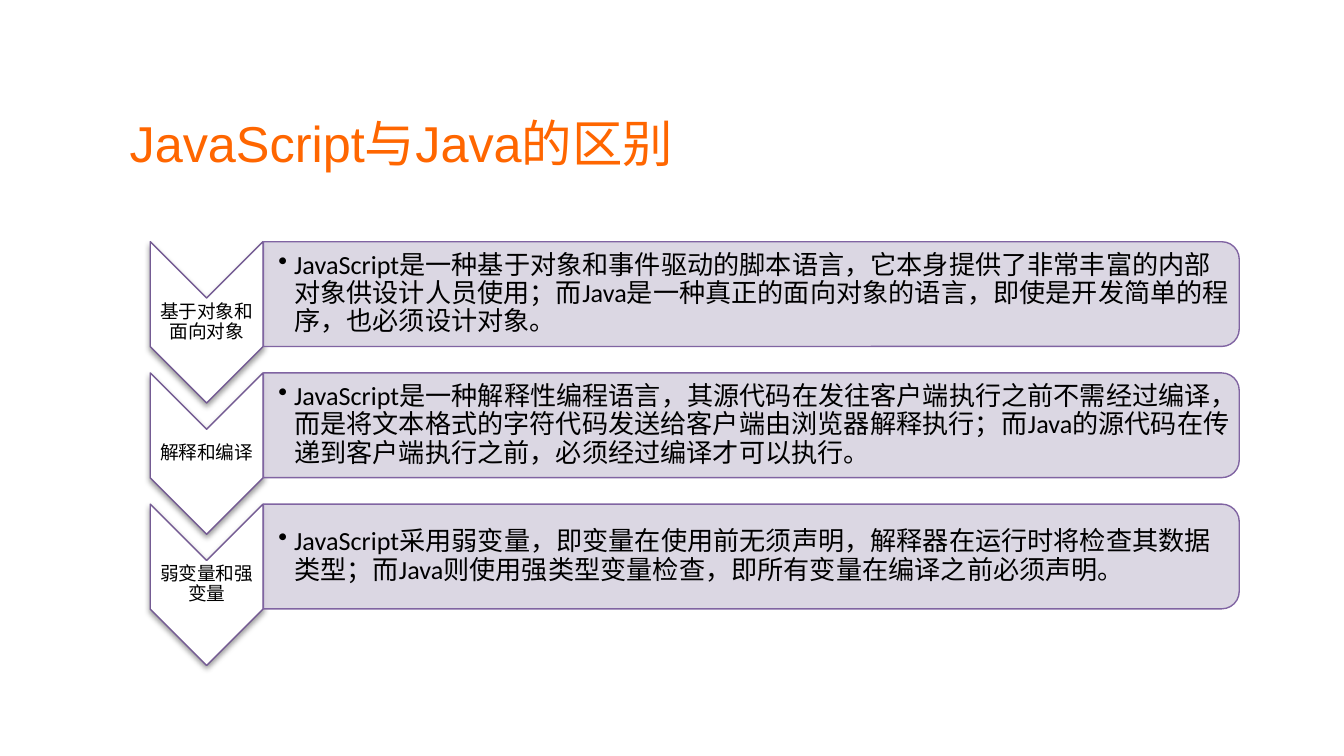
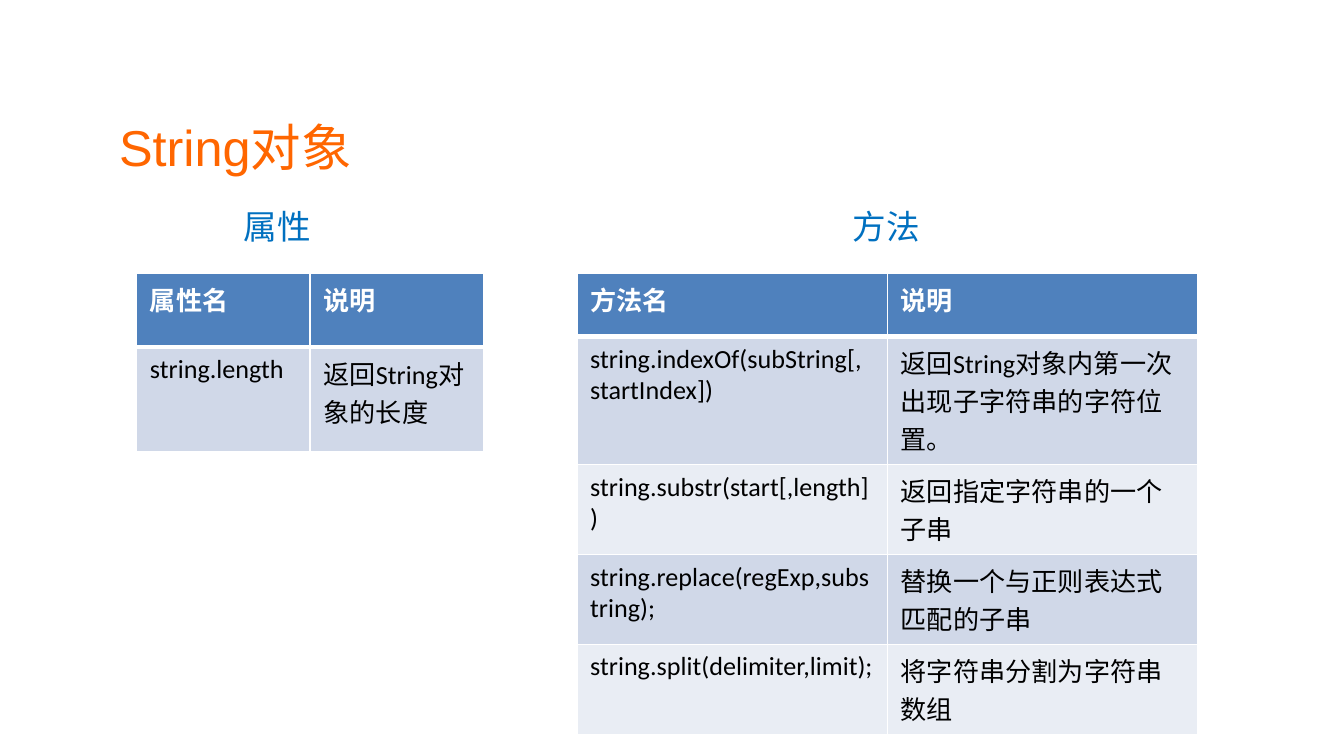
from lxml.etree import SubElement
from pptx import Presentation
from pptx.dml.color import RGBColor
from pptx.enum.shapes import MSO_SHAPE as Preset
from pptx.enum.text import MSO_ANCHOR as Anchor, MSO_AUTO_SIZE as AutoSize, PP_ALIGN as Align
from pptx.oxml.ns import qn
from pptx.util import Cm, Pt

# Shared colours and fonts
BLACK = RGBColor(0x00, 0x00, 0x00)
WHITE = RGBColor(0xFF, 0xFF, 0xFF)
ORANGE = RGBColor(0xFF, 0x66, 0x00)
BLUE = RGBColor(0x00, 0x70, 0xC0)
CHEVRON_LINE = RGBColor(0x74, 0x5B, 0x93)
BAR_FILL = RGBColor(0xD8, 0xD3, 0xE0)
BAR_LINE = RGBColor(0x80, 0x64, 0xA2)
HEADER_FILL = RGBColor(0x4F, 0x81, 0xBD)
BAND_FILLS = RGBColor(0xD0, 0xD8, 0xE8), RGBColor(0xE9, 0xED, 0xF4)
TITLE_FONT, BODY_FONT = "Arial", "Calibri"

# Rows of the difference list, in centimetres
LIST_LEFT, LIST_TOP, ROW_PITCH = 2.84, 4.57, 2.48
CHEVRON_WIDTH, CHEVRON_HEIGHT = 2.13, 3.05
BAR_LEFT, BAR_WIDTH, BAR_HEIGHT = 4.98, 18.44, 1.98

DIFFERENCES = [
    ("基于对象和面向对象",
     "JavaScript是一种基于对象和事件驱动的脚本语言，它本身提供了非常丰富的内部对象供设计人员使用；"
     "而Java是一种真正的面向对象的语言，即使是开发简单的程序，也必须设计对象。"),
    ("解释和编译",
     "JavaScript是一种解释性编程语言，其源代码在发往客户端执行之前不需经过编译，"
     "而是将文本格式的字符代码发送给客户端由浏览器解释执行；"
     "而Java的源代码在传递到客户端执行之前，必须经过编译才可以执行。"),
    ("弱变量和强变量",
     "JavaScript采用弱变量，即变量在使用前无须声明，解释器在运行时将检查其数据类型；"
     "而Java则使用强类型变量检查，即所有变量在编译之前必须声明。"),
]
METHODS = [
    ("方法名", "说明"),
    ("string.indexOf(subString[, startIndex])", "返回String对象内第一次出现子字符串的字符位置。"),
    ("string.substr(start[,length])", "返回指定字符串的一个子串"),
    ("string.replace(regExp,substring);", "替换一个与正则表达式匹配的子串"),
    ("string.split(delimiter,limit);", "将字符串分割为字符串数组"),
]
PROPERTIES = [("属性名", "说明"), ("string.length", "返回String对象的长度")]


def style_text(para, size, color, name=BODY_FONT, bold=False):
    font = para.font
    font.size, font.name, font.bold = Pt(size), name, bold
    font.color.rgb = color


def add_text(shapes, text, left, top, width, height, size, color,
             name=BODY_FONT, anchor=Anchor.MIDDLE, insets=None):
    box = shapes.add_textbox(Cm(left), Cm(top), Cm(width), Cm(height))
    frame = box.text_frame
    frame.word_wrap = True
    frame.vertical_anchor = anchor
    if insets:
        side, edge, right = (Cm(inset) for inset in insets)
        frame.margin_left, frame.margin_right = side, right
        frame.margin_top = frame.margin_bottom = edge
    para = frame.paragraphs[0]
    para.text = text
    style_text(para, size, color, name)
    return frame


def add_title(page, text, left, top, width, align=Align.LEFT):
    frame = add_text(page.shapes, text, left, top, width, 1.96, 27, ORANGE,
                     TITLE_FONT, insets=(0.18, 0.1, 0.18))
    frame.paragraphs[0].alignment = align


def add_caption(page, text, left):
    frame = add_text(page.shapes, text, left, 3.76, 1.8, 1.02, 18, BLUE, anchor=Anchor.TOP)
    frame.word_wrap = False
    frame.auto_size = AutoSize.SHAPE_TO_FIT_TEXT


def add_turned_shape(shapes, preset, left, top, width, height, fill, line):
    """Place a quarter-turned shape by the area it covers on the slide."""
    shift = (width - height) / 2
    shape = shapes.add_shape(preset, Cm(left + shift), Cm(top - shift), Cm(height), Cm(width))
    shape.rotation = 90
    shape.shadow.inherit = False
    shape.fill.solid()
    shape.fill.fore_color.rgb = fill
    shape.line.color.rgb = line
    shape.line.width = Pt(0.75)
    return shape


def add_drop_shadow(shape):
    effects = shape._element.spPr.find(qn("a:effectLst"))
    shadow = SubElement(effects, qn("a:outerShdw"), blurRad=str(Pt(3.1)), dist=str(Pt(1.6)),
                        dir="5400000", rotWithShape="0")
    color = SubElement(shadow, qn("a:srgbClr"), val=str(BLACK))
    SubElement(color, qn("a:alpha"), val="38000")


def set_opacity(shape, percent):
    color = shape._element.spPr.find(qn("a:solidFill")).find(qn("a:srgbClr"))
    SubElement(color, qn("a:alpha"), val=str(percent * 1000))


def set_bullet(para, indent):
    para.level = 1
    props = para._p.get_or_add_pPr()
    props.set("marL", str(Cm(indent)))
    props.set("indent", str(-Cm(indent)))
    bullet = SubElement(props, qn("a:buChar"), char="•")
    props.find(qn("a:defRPr")).addprevious(bullet)


def set_spacing(para, after):
    para.line_spacing = 0.9
    para.space_after = Pt(after)


def add_difference(shapes, top, label, detail):
    # Chevron with its label
    chevron = add_turned_shape(shapes, Preset.CHEVRON, LIST_LEFT, top, CHEVRON_WIDTH,
                               CHEVRON_HEIGHT, WHITE, CHEVRON_LINE)
    add_drop_shadow(chevron)
    frame = add_text(shapes, label, LIST_LEFT, top + 1.07, CHEVRON_WIDTH, 0.91, 10, BLACK,
                     insets=(0.02, 0.02, 0.02))
    para = frame.paragraphs[0]
    para.alignment = Align.CENTER
    set_spacing(para, 3.5)

    # Bar with its explanation
    bar = add_turned_shape(shapes, Preset.ROUND_2_SAME_RECTANGLE, BAR_LEFT, top, BAR_WIDTH,
                           BAR_HEIGHT, BAR_FILL, BAR_LINE)
    set_opacity(bar, 90)
    frame = add_text(shapes, detail, BAR_LEFT, top + 0.1, BAR_WIDTH - 0.1, BAR_HEIGHT - 0.2,
                     14, BLACK, insets=(0.28, 0.02, 0.02))
    para = frame.paragraphs[0]
    set_spacing(para, 2.1)
    set_bullet(para, 0.3)


def set_borders(cell, **widths):
    props = cell._tc.get_or_add_tcPr()
    for index, side in enumerate(("L", "R", "T", "B")):
        line = props.makeelement(qn(f"a:ln{side}"), {"w": str(Pt(widths.get(side, 1)))})
        fill = SubElement(line, qn("a:solidFill"))
        SubElement(fill, qn("a:srgbClr"), val=str(WHITE))
        props.insert(index, line)


def add_grid(page, rows, left, column_width, heights):
    table = page.shapes.add_table(len(rows), 2, Cm(left), Cm(5.16), Cm(2 * column_width),
                                  Cm(sum(heights))).table
    for column in table.columns:
        column.width = Cm(column_width)
    for r, (texts, height) in enumerate(zip(rows, heights)):
        table.rows[r].height = Cm(height)
        header = r == 0
        for c, text in enumerate(texts):
            cell = table.cell(r, c)
            cell.text = text
            style_text(cell.text_frame.paragraphs[0], 14, WHITE if header else BLACK, bold=header)
            cell.fill.solid()
            cell.fill.fore_color.rgb = HEADER_FILL if header else BAND_FILLS[(r - 1) % 2]
            set_borders(cell, T=3 if r == 1 else 1, B=3 if header else 1)


def build_differences(page):
    add_title(page, "JavaScript与Java的区别", 1.87, 1.72, 11.43, Align.CENTER)
    group = page.shapes.add_group_shape()
    for index, (label, detail) in enumerate(DIFFERENCES):
        add_difference(group.shapes, LIST_TOP + index * ROW_PITCH, label, detail)


def build_string_object(page):
    add_title(page, "String对象", 2.07, 1.78, 14.6)
    add_grid(page, METHODS, 10.9, 5.87, [1.2, 2.42, 1.7, 1.7, 1.7])
    add_grid(page, PROPERTIES, 2.58, 3.28, [1.4, 1.98])
    add_caption(page, "属性", 4.36)
    add_caption(page, "方法", 15.87)


def main():
    deck = Presentation()
    deck.slide_width, deck.slide_height = Cm(25.4), Cm(14.29)
    blank = deck.slide_layouts[6]
    for build in (build_differences, build_string_object):
        build(deck.slides.add_slide(blank))
    deck.save("out.pptx")


if __name__ == "__main__":
    main()
